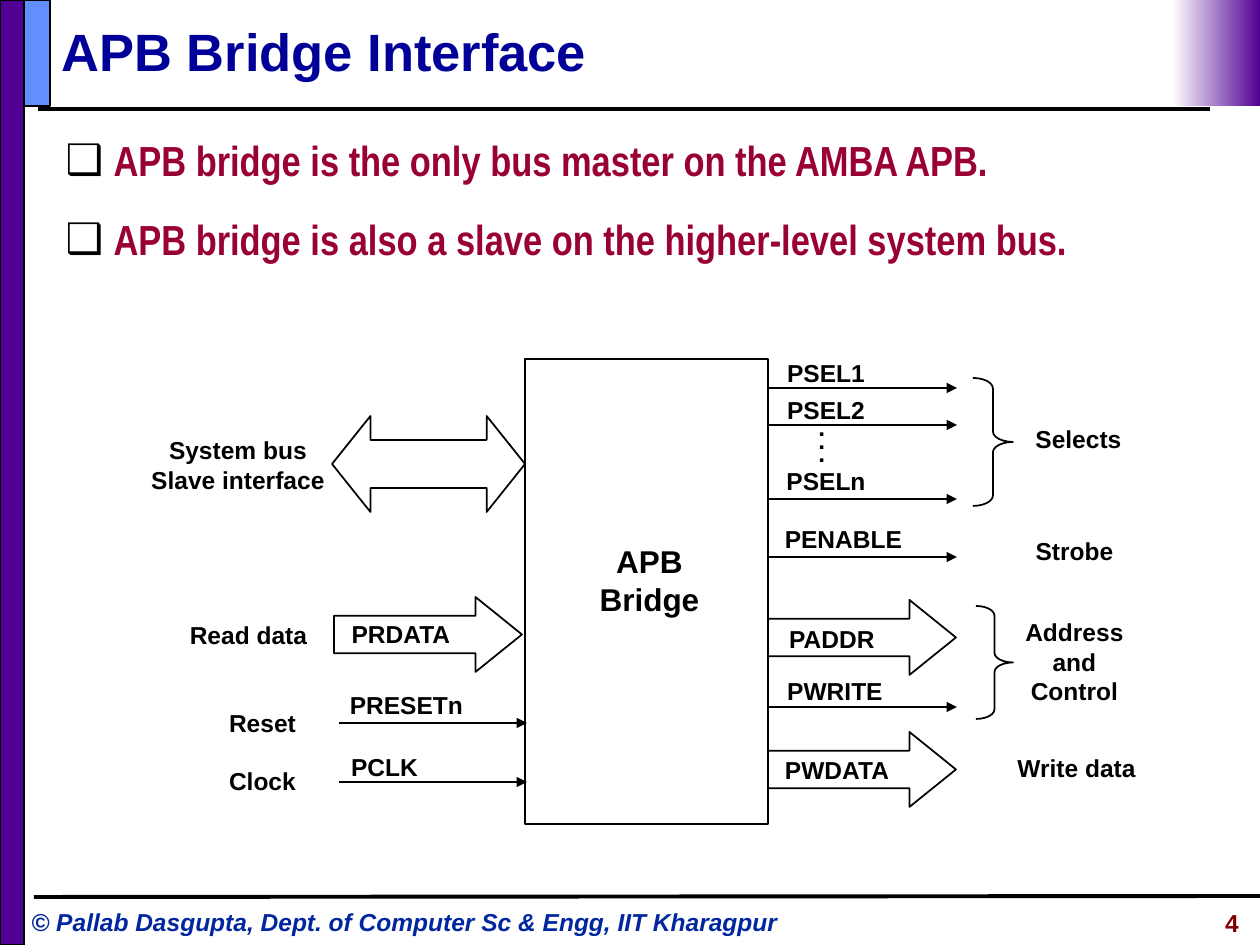
from lxml import etree
from pptx import Presentation
from pptx.dml.color import RGBColor
from pptx.enum.shapes import MSO_CONNECTOR, MSO_SHAPE
from pptx.enum.text import MSO_ANCHOR, MSO_AUTO_SIZE, PP_ALIGN
from pptx.oxml.ns import qn
from pptx.util import Emu, Pt

LEFT, CENTER, RIGHT = PP_ALIGN.LEFT, PP_ALIGN.CENTER, PP_ALIGN.RIGHT
TOP, MIDDLE = MSO_ANCHOR.TOP, MSO_ANCHOR.MIDDLE
NO_FIT, GROW = MSO_AUTO_SIZE.NONE, MSO_AUTO_SIZE.SHAPE_TO_FIT_TEXT
STRAIGHT = MSO_CONNECTOR.STRAIGHT
RECTANGLE = MSO_SHAPE.RECTANGLE
RIGHT_ARROW = MSO_SHAPE.RIGHT_ARROW
TWO_WAY_ARROW = MSO_SHAPE.LEFT_RIGHT_ARROW
RIGHT_BRACE = MSO_SHAPE.RIGHT_BRACE

BLACK, WHITE, PURPLE = "000000", "FFFFFF", "500093"
PX_PER_INCH = 126
BODY_INDENT = 48


def px(length):
    return Emu(round(length * 914400 / PX_PER_INCH))


def color(hex_code):
    return RGBColor.from_string(hex_code)


def apply(target, values):
    for name, value in values.items():
        setattr(target, name, value)


class BridgeSlide:
    """Holds the style and the current slide, and draws each kind of element."""

    font = "Arial"
    label_size = 14
    thin, thick = 1, 2.25

    def __init__(self, slide):
        self.slide = slide
        self.shapes = slide.shapes

    def format_text(self, frame, text, size, hex_code, align, font=None, italic=False):
        frame.text = text
        for paragraph in frame.paragraphs:
            paragraph.alignment = align
            for run in paragraph.runs:
                apply(run.font, {"name": font or self.font, "size": Pt(size),
                                 "bold": True, "italic": italic})
                run.font.color.rgb = color(hex_code)

    def place(self, placeholder, left, top, width, height, anchor):
        apply(placeholder, {"left": px(left), "top": px(top),
                            "width": px(width), "height": px(height)})
        apply(placeholder.text_frame, {"vertical_anchor": anchor, "auto_size": NO_FIT,
                                       "word_wrap": True})
        return placeholder.text_frame

    def title(self, text, *box):
        frame = self.place(self.shapes.title, *box, MIDDLE)
        self.format_text(frame, text, 30, "000099", LEFT)

    def bullets(self, items, *box):
        frame = self.place(self.slide.placeholders[1], *box, TOP)
        self.format_text(frame, "\n".join(items), 24, "990033", LEFT, "Arial Narrow")
        for paragraph in frame.paragraphs:
            apply(paragraph, {"line_spacing": 1.25, "space_before": Pt(9)})
            properties = paragraph._p.get_or_add_pPr()
            properties.set("marL", str(px(BODY_INDENT)))
            properties.set("indent", str(-px(BODY_INDENT)))
            bullet_color = etree.SubElement(properties, qn("a:buClr"))
            etree.SubElement(bullet_color, qn("a:srgbClr"), val=BLACK)
            etree.SubElement(properties, qn("a:buChar"), char="❑")

    def label(self, text, left, top, width, size=label_size, hex_code=BLACK,
              align=CENTER, italic=False, wrap=False):
        line_count = text.count("\n") + 1
        height = line_count * round(size * 2.05) + 14
        box = self.shapes.add_textbox(px(left), px(top), px(width), px(height))
        apply(box.text_frame, {"word_wrap": wrap, "auto_size": GROW})
        self.format_text(box.text_frame, text, size, hex_code, align, italic=italic)

    def shape(self, kind, left, top, width, height, fill=None, outline=True, adjust=()):
        shape = self.shapes.add_shape(kind, px(left), px(top), px(width), px(height))
        shape.shadow.inherit = False
        for index, value in enumerate(adjust):
            shape.adjustments[index] = value
        if fill:
            shape.fill.solid()
            shape.fill.fore_color.rgb = color(fill)
        else:
            shape.fill.background()
        if outline:
            shape.line.color.rgb = color(BLACK)
            shape.line.width = Pt(self.thin)
        else:
            shape.line.fill.background()
        return shape

    def fade(self, *box):
        corner = self.shape(RECTANGLE, *box, outline=False)
        corner.fill.gradient()
        corner.fill.gradient_angle = 180
        for stop, hex_code in zip(corner.fill.gradient_stops, (PURPLE, WHITE)):
            stop.color.rgb = color(hex_code)

    def line(self, x1, y1, x2, y2, width=thin, arrow=False):
        connector = self.shapes.add_connector(STRAIGHT, px(x1), px(y1), px(x2), px(y2))
        connector.line.color.rgb = color(BLACK)
        connector.line.width = Pt(width)
        if arrow:
            etree.SubElement(connector.get_or_add_ln(), qn("a:tailEnd"), type="triangle")
        etree.SubElement(connector.element.spPr, qn("a:effectLst"))


def main():
    deck = Presentation()
    apply(deck, {"slide_width": px(1260), "slide_height": px(945)})
    page = BridgeSlide(deck.slides.add_slide(deck.slide_layouts[1]))

    page.line(38, 109, 1210, 109, page.thick)
    page.label("© Pallab Dasgupta, Dept. of Computer Sc & Engg, IIT Kharagpur",
               19, 901, 803, hex_code="00279F", align=LEFT, italic=True, wrap=True)
    page.shape(RECTANGLE, 0, 0, 24, 945, PURPLE)
    page.line(34, 897, 1260, 896, page.thick)
    page.shape(RECTANGLE, 24, 0, 26, 106, "618FFD")
    page.fade(1172, 0, 88, 106)

    page.title("APB Bridge Interface", 49, 12, 1147, 77)
    page.bullets(["APB bridge is the only bus master on the AMBA APB.",
                  "APB bridge is also a slave on the higher-level system bus."],
                 53, 116, 1154, 158)

    page.shape(RECTANGLE, 525, 359, 243, 465)
    page.label("APB\nBridge", 586, 536, 127, size=18)
    page.shape(TWO_WAY_ARROW, 332, 416, 193, 96, adjust=(0.5, 0.4))
    for left, top in ((768, 600), (768, 732), (334, 597)):
        page.shape(RIGHT_ARROW, left, top, 188, 75, adjust=(0.5, 0.62))
    for output_y in (388, 425, 499, 557, 707):
        page.line(769, output_y, 957, output_y, arrow=True)
    for input_y in (723, 782):
        page.line(339, input_y, 527, input_y, arrow=True)
    for left, top, width, height in ((973, 378, 40, 128), (976, 606, 37, 113)):
        page.shape(RIGHT_BRACE, left, top, width, height, adjust=(0.26, 0.5))

    labels = [
        ("System bus\nSlave interface", 137, 429, 202),
        ("Read data", 175, 614, 147),
        ("Reset", 216, 702, 93),
        ("Clock", 216, 760, 93),
        ("PRDATA", 337, 613, 128),
        ("PRESETn", 336, 684, 141),
        ("PCLK", 338, 746, 93),
        ("PSEL1", 774, 352, 104),
        ("PSEL2", 774, 389, 104),
        ("PSELn", 773, 460, 106),
        ("PENABLE", 770, 518, 147),
        ("PADDR", 775, 618, 114),
        ("PWRITE", 773, 670, 124),
        ("PWDATA", 770, 749, 134),
        ("Selects", 1022, 418, 113),
        ("Strobe", 1022, 530, 105),
        ("Address\nand\nControl", 1011, 611, 127),
        ("Write data", 1003, 747, 147),
    ]
    for text, left, top, width in labels:
        page.label(text, left, top, width)
    for dot_top in (406, 419, 432):
        page.label(".", 806, dot_top, 32, align=LEFT)
    page.label("4", 1031, 902, 220, hex_code="800000", align=RIGHT, wrap=True)

    deck.save("out.pptx")


if __name__ == "__main__":
    main()
